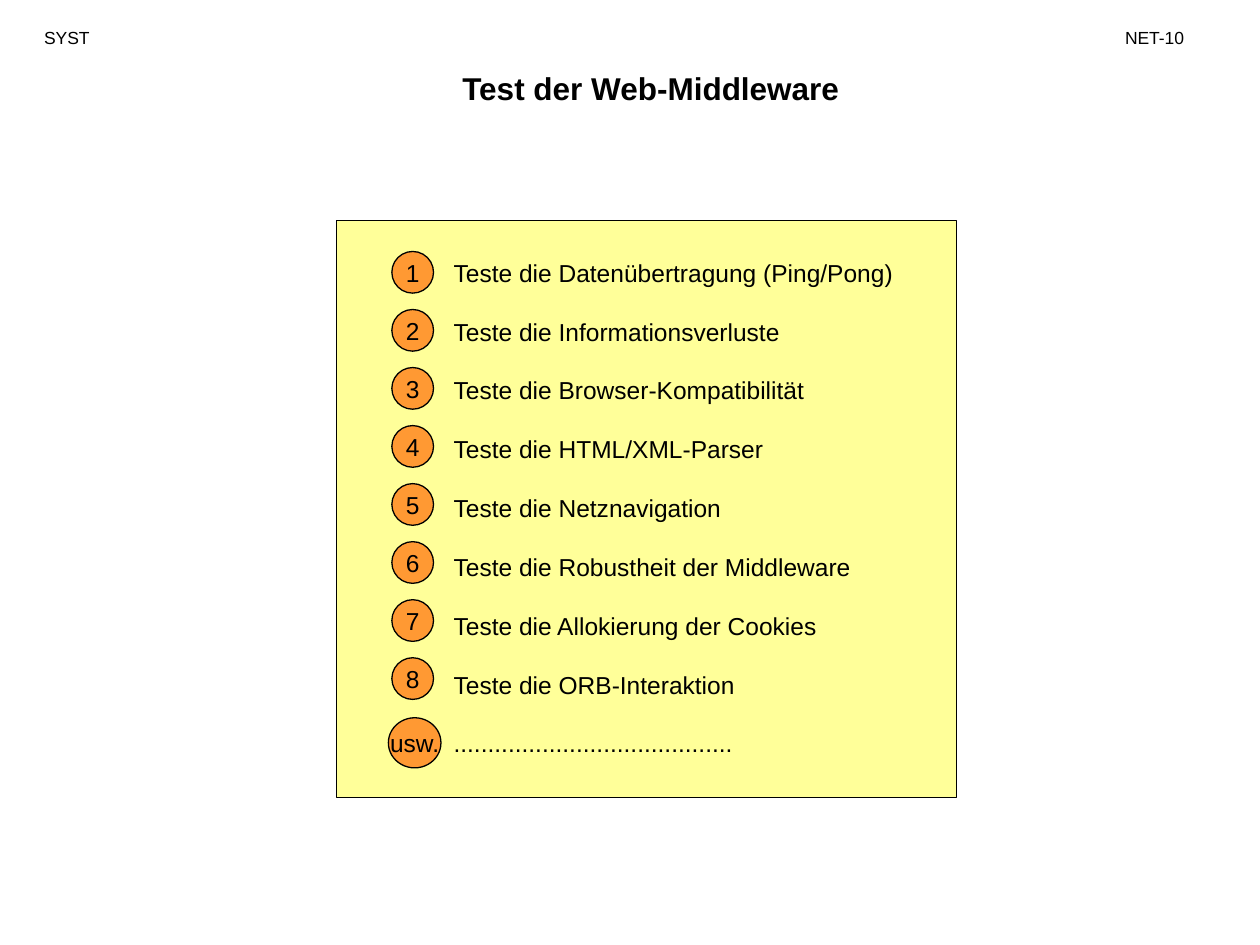
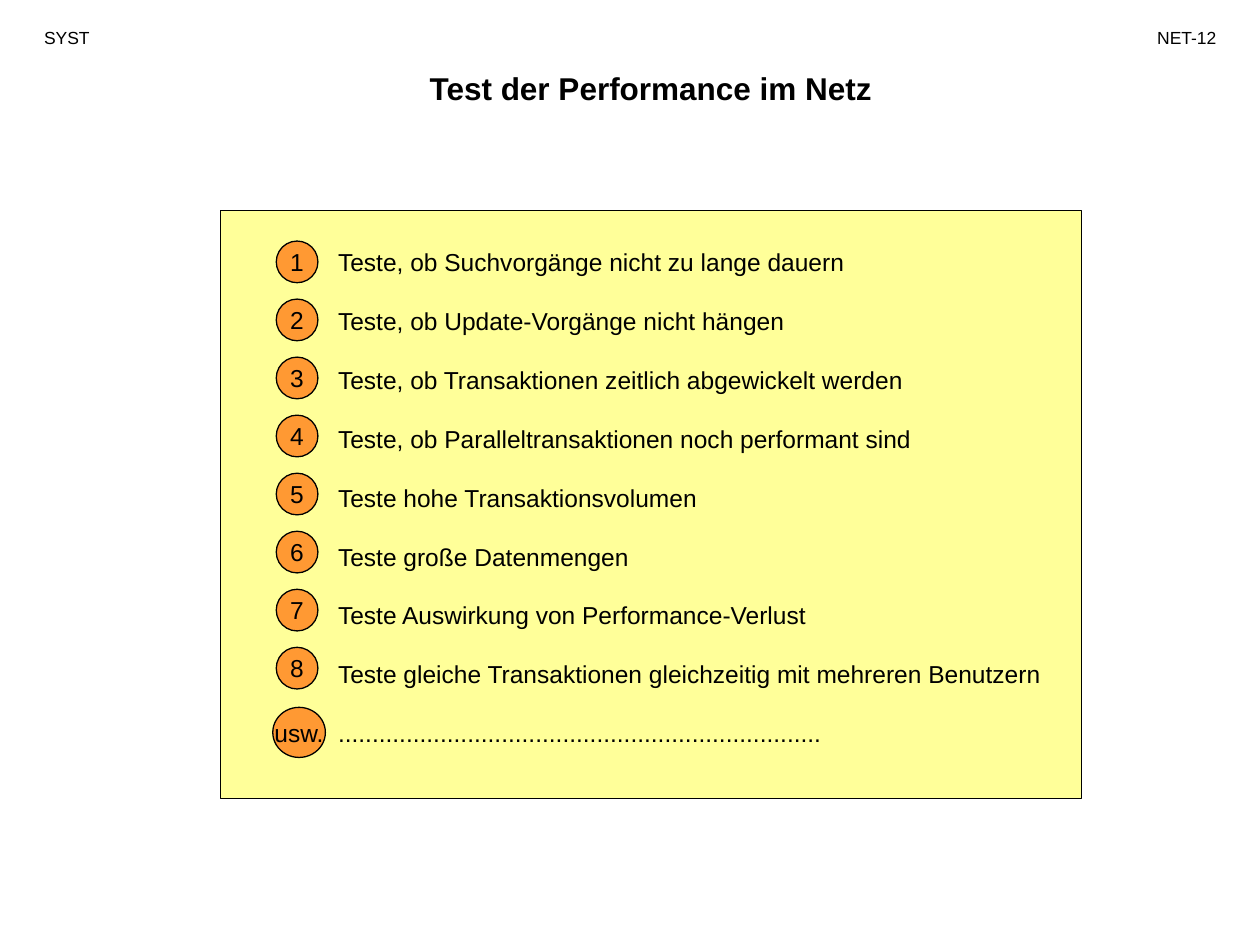
from pptx import Presentation
from pptx.dml.color import RGBColor
from pptx.enum import shapes, text
from pptx.oxml import xmlchemy
from pptx.util import Cm, Pt

BLACK = RGBColor(0x00, 0x00, 0x00)
YELLOW = RGBColor(0xFF, 0xFF, 0x99)
ORANGE = RGBColor(0xFF, 0x99, 0x33)
FONT = "Arial"
LINE_HEIGHT = 1.2
LEFT, CENTER, RIGHT = text.PP_ALIGN.LEFT, text.PP_ALIGN.CENTER, text.PP_ALIGN.RIGHT
TOP, MIDDLE = text.MSO_ANCHOR.TOP, text.MSO_ANCHOR.MIDDLE

COURSE = "SYST"
LIST_SIZE = 14
BADGE_STEP = 1.17
BADGE = (0.84, 0.84)
LAST_BADGE = (1.06, 1.01)

TESTS = [
    {
        "title": "Test der Web-Middleware",
        "page": "NET-10",
        "page_left": 22.43,
        "page_align": LEFT,
        "panel_box": (6.78, 4.45, 12.5, 11.63),
        "steps": [
            "Teste die Datenübertragung (Ping/Pong)",
            "Teste die Informationsverluste",
            "Teste die Browser-Kompatibilität",
            "Teste die HTML/XML-Parser",
            "Teste die Netznavigation",
            "Teste die Robustheit der Middleware",
            "Teste die Allokierung der Cookies",
            "Teste die ORB-Interaktion",
            "." * 41,
        ],
    },
    {
        "title": "Test der Performance im Netz",
        "page": "NET-12",
        "page_left": 22.23,
        "page_align": RIGHT,
        "panel_box": (4.45, 4.24, 17.35, 11.86),
        "steps": [
            "Teste, ob Suchvorgänge nicht zu lange dauern",
            "Teste, ob Update-Vorgänge nicht hängen",
            "Teste, ob Transaktionen zeitlich abgewickelt werden",
            "Teste, ob Paralleltransaktionen noch performant sind",
            "Teste hohe Transaktionsvolumen",
            "Teste große Datenmengen",
            "Teste Auswirkung von Performance-Verlust",
            "Teste gleiche Transaktionen gleichzeitig mit mehreren Benutzern",
            "." * 71,
        ],
    },
]


def place(shape, box):
    shape.left, shape.top, shape.width, shape.height = (Cm(n) for n in box)


def write(shape, lines, size=LIST_SIZE, bold=False, align=LEFT, anchor=TOP,
          wrap=True, gap=0):
    """Fill a shape with one paragraph per line, gap points apart."""
    frame = shape.text_frame
    frame.auto_size = text.MSO_AUTO_SIZE.NONE
    frame.word_wrap = wrap
    frame.vertical_anchor = anchor
    frame.text = "\n".join(lines)
    for number, paragraph in enumerate(frame.paragraphs):
        properties = paragraph._p.get_or_add_pPr()
        properties.set("marL", "0")
        properties.set("indent", "0")
        properties.append(xmlchemy.OxmlElement("a:buNone"))
        paragraph.alignment = align
        paragraph.line_spacing = Pt(size * LINE_HEIGHT)
        paragraph.space_before = Pt(gap if number else 0)
        font = paragraph.runs[0].font
        font.name, font.size, font.bold = FONT, Pt(size), bold
        font.color.rgb = BLACK


def add_outlined(slide, kind, box, fill):
    shape = slide.shapes.add_shape(kind, *(Cm(n) for n in box))
    shape.shadow.inherit = False
    shape.fill.solid()
    shape.fill.fore_color.rgb = fill
    shape.line.color.rgb = BLACK
    shape.line.width = Pt(0.75)
    return shape


def add_header(slide, title, page, page_left, page_align):
    place(slide.shapes.title, (5.5, 1.27, 15.24, 1.02))
    write(slide.shapes.title, [title], size=18, bold=True, align=CENTER)
    for label, left, width, align in ((COURSE, 0.64, 2.34, LEFT),
                                      (page, page_left, 2.54, page_align)):
        box = slide.shapes.add_textbox(Cm(left), Cm(0.43), Cm(width), Cm(0.69))
        write(box, [label], size=10, align=align)


def add_badges(slide, left, top, count):
    """Number the steps downwards; the last badge is a larger "usw."."""
    for row in range(count):
        is_last = row == count - 1
        width, height = LAST_BADGE if is_last else BADGE
        x, y = (left - 0.07, top + 0.04) if is_last else (left, top)
        badge = add_outlined(slide, shapes.MSO_SHAPE.OVAL,
                             (x, y + row * BADGE_STEP, width, height), ORANGE)
        write(badge, ["usw." if is_last else str(row + 1)],
              align=CENTER, anchor=MIDDLE, wrap=False)


def add_step_panel(slide, box, steps):
    left, top, width, _ = box
    panel = add_outlined(slide, shapes.MSO_SHAPE.RECTANGLE, box, YELLOW)
    slide.shapes.element.insert(2, panel.element)  # behind the placeholders
    step_list = slide.placeholders[1]
    place(step_list, (left + 2.11, top + 0.62, width - 2.54, 10.34))
    write(step_list, steps, gap=LIST_SIZE * LINE_HEIGHT)
    add_badges(slide, left + 1.12, top + 0.62, len(steps))


def add_test_slide(deck, title, page, page_left, page_align, panel_box, steps):
    slide = deck.slides.add_slide(deck.slide_layouts[1])
    add_header(slide, title, page, page_left, page_align)
    add_step_panel(slide, panel_box, steps)


def main():
    deck = Presentation()
    deck.slide_width, deck.slide_height = Cm(25.4), Cm(19.05)
    for test in TESTS:
        add_test_slide(deck, **test)
    deck.save("out.pptx")


if __name__ == "__main__":
    main()
